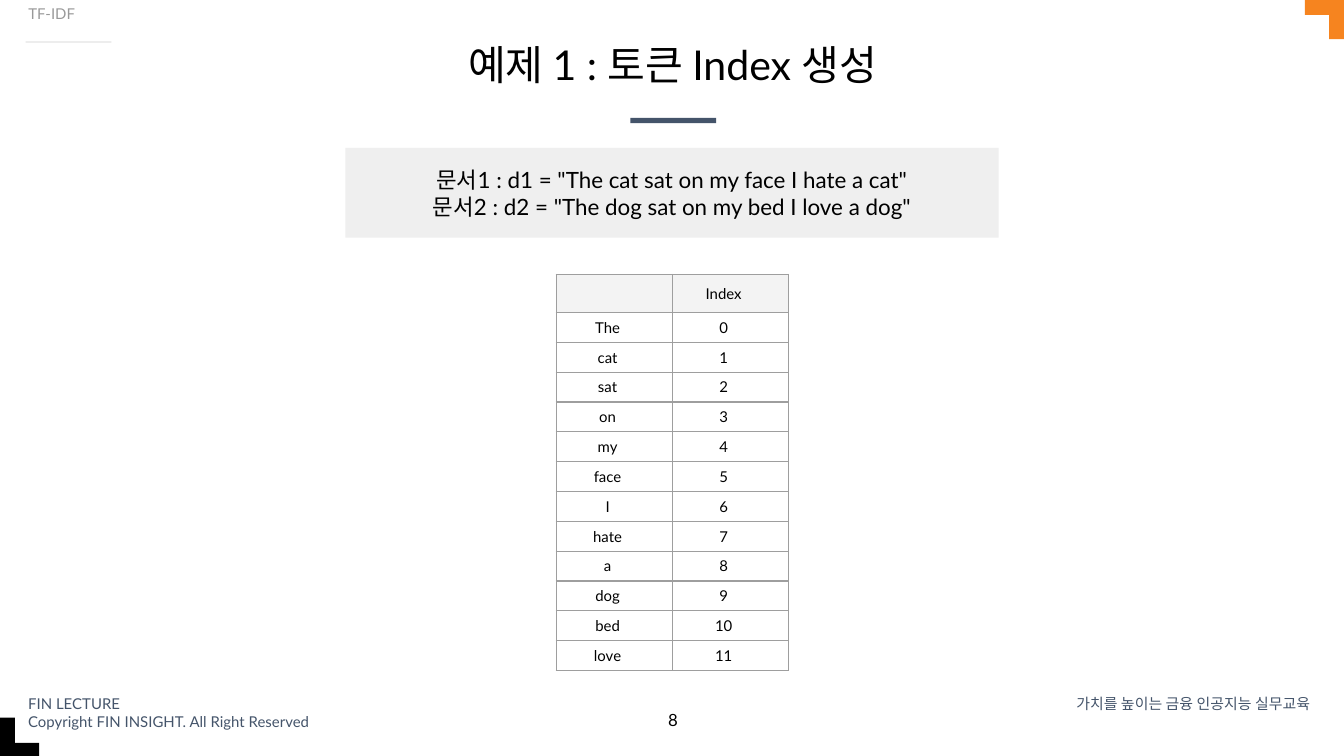
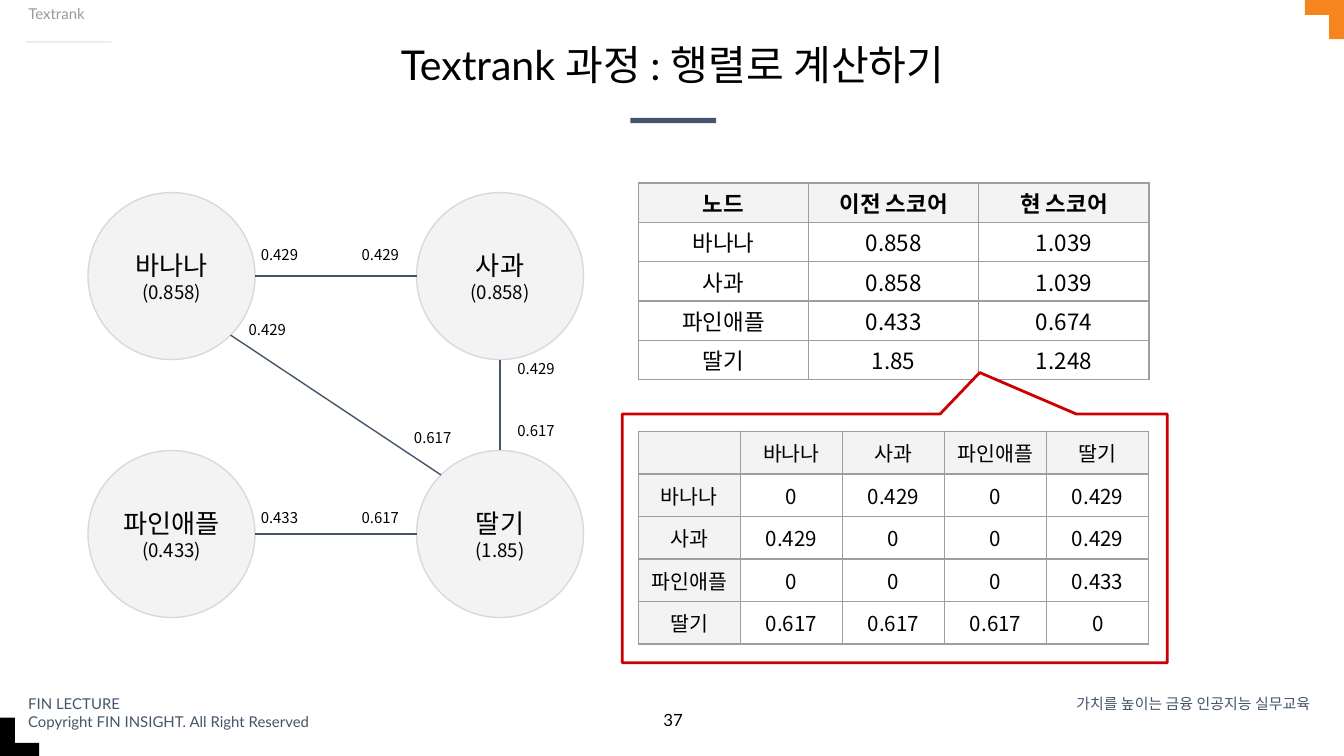
"""Build two lecture slides: token indexing and the TextRank matrix."""
from math import cos, radians, sin

from lxml.etree import SubElement
from pptx import Presentation
from pptx.dml.color import RGBColor
from pptx.enum.shapes import MSO_CONNECTOR, MSO_SHAPE as SHAPE
from pptx.enum.text import MSO_ANCHOR as ANCHOR, PP_ALIGN as ALIGN
from pptx.oxml.ns import qn
from pptx.util import Pt

BLACK = RGBColor(0x00, 0x00, 0x00)
WHITE = RGBColor(0xFF, 0xFF, 0xFF)
NAVY = RGBColor(0x44, 0x54, 0x6A)
ORANGE = RGBColor(0xF6, 0x84, 0x1F)
RED = RGBColor(0xCC, 0x00, 0x00)
PANEL = RGBColor(0xEF, 0xEF, 0xEF)
SHADE = RGBColor(0xF3, 0xF3, 0xF3)
RULE = RGBColor(0xCC, 0xCC, 0xCC)
OUTLINE = RGBColor(0xD9, 0xD9, 0xD9)
TAG = RGBColor(0x99, 0x99, 0x99)
GRID = RGBColor(0x9E, 0x9E, 0x9E)
LATO = "Lato"
NOTO = "Noto Sans CJK KR"
RADIUS = 44.75


def style(p, size, color=BLACK, font=LATO, align=ALIGN.CENTER, bold=False):
    """Format a paragraph and all its runs."""
    p.alignment = align
    for r in p.runs:
        r.font.size = Pt(size)
        r.font.bold = bold
        r.font.name = font
        r.font.color.rgb = color
        SubElement(r.font._element, qn("a:ea")).set("typeface", NOTO)


def set_insets(target, left, top, right, bottom):
    """Set the inner margins of a text frame or cell."""
    target.margin_left, target.margin_top = Pt(left), Pt(top)
    target.margin_right, target.margin_bottom = Pt(right), Pt(bottom)


def write(tf, text, size, insets=(7.2, 7.2, 7.2, 7.2), anchor=ANCHOR.TOP, **look):
    """Fill a text frame with uniformly styled lines."""
    tf.text = text
    tf.word_wrap = True
    tf.vertical_anchor = anchor
    set_insets(tf, *insets)
    for p in tf.paragraphs:
        style(p, size, **look)


def add_text(s, box, text, size, **look):
    """Add a text box."""
    tb = s.shapes.add_textbox(*map(Pt, box))
    write(tb.text_frame, text, size, **look)


def add_block(s, kind, box, fill, line=None, width=0.75, rotation=0):
    """Add a flat preset shape."""
    sp = s.shapes.add_shape(kind, *map(Pt, box))
    sp.shadow.inherit = False
    sp.rotation = rotation
    sp.fill.solid()
    sp.fill.fore_color.rgb = fill
    if line is None:
        sp.line.fill.background()
    else:
        sp.line.color.rgb = line
        sp.line.width = Pt(width)
    return sp


def fill_placeholder(ph, box, text, size, **look):
    """Move a placeholder and give it one tight line of text."""
    ph.left, ph.top, ph.width, ph.height = map(Pt, box)
    write(ph.text_frame, text, size, **look)
    p = ph.text_frame.paragraphs[0]
    p.line_spacing = 0.9
    p.space_before = Pt(0)


def add_corner(s, color, flat, upright, turn):
    """Add two bars that form a corner bracket."""
    for (left, top), rotation in ((flat, 0), (upright, turn)):
        add_block(s, SHAPE.RECTANGLE, (left, top, 21, 8), color, rotation=rotation)


def add_page(prs, topic, title, number):
    """Add a slide with the shared frame, title, topic and page number."""
    s = prs.slides.add_slide(prs.slide_layouts[0])
    add_block(s, SHAPE.RECTANGLE, (337.7, 63.2, 46, 2.8), NAVY)
    add_block(s, SHAPE.RECTANGLE, (13.7, 22.3, 46, 0.5), RULE)
    add_corner(s, BLACK, (0, 398), (-6.5, 391), 90)
    add_corner(s, ORANGE, (699, 0), (705.5, 6.5), 270)
    slim = (7.2, 3.6, 7.2, 3.6)
    add_text(s, (8, 368.6, 214.5, 19.5),
             "FIN LECTURE\nCopyright FIN INSIGHT. All Right Reserved", 8,
             insets=slim, color=NAVY, align=ALIGN.LEFT)
    add_text(s, (558.7, 368.6, 150.5, 12.2), "가치를 높이는 금융 인공지능 실무교육", 8,
             insets=slim, color=NAVY, align=ALIGN.RIGHT)
    fill_placeholder(s.shapes.title, (37.4, 21.6, 645.8, 28.8), title, 22,
                     insets=(2.7, 1.4, 2.7, 1.4), anchor=ANCHOR.MIDDLE)
    fill_placeholder(s.placeholders[1], (8, 0, 246, 28.8), topic, 8,
                     insets=slim, color=TAG, align=ALIGN.LEFT)
    add_text(s, (339, 375, 43.2, 31), str(number), 9)
    return s


def add_borders(cell):
    """Draw thin grey borders on all four sides of a cell."""
    tc_pr = cell._tc.get_or_add_tcPr()
    for side in ("a:lnL", "a:lnR", "a:lnT", "a:lnB"):
        ln = SubElement(tc_pr, qn(side), w=str(Pt(0.75)))
        fill = SubElement(ln, qn("a:solidFill"))
        SubElement(fill, qn("a:srgbClr"), val=str(GRID))


def add_grid(s, origin, col_width, heights, rows, size, font=LATO,
             right_inset=0, bold_head=False, shade_first=False):
    """Add a bordered table with a shaded header row."""
    n_cols = len(rows[0])
    frame = s.shapes.add_table(len(rows), n_cols, *map(Pt, origin),
                               Pt(col_width * n_cols), Pt(sum(heights)))
    table = frame.table
    table.first_row = table.horz_banding = False
    for col in table.columns:
        col.width = Pt(col_width)
    for i, (values, height) in enumerate(zip(rows, heights)):
        table.rows[i].height = Pt(height)
        for j, value in enumerate(values):
            cell = table.cell(i, j)
            cell.text = value
            cell.vertical_anchor = ANCHOR.MIDDLE
            set_insets(cell, 0, 0, right_inset, 0)
            p = cell.text_frame.paragraphs[0]
            style(p, size, font=font, bold=bold_head and i == 0)
            if not value:
                SubElement(p._p, qn("a:endParaRPr"), sz=str(size * 100))
            add_borders(cell)
            cell.fill.solid()
            shaded = i == 0 or (shade_first and j == 0)
            cell.fill.fore_color.rgb = SHADE if shaded else WHITE


def add_node(s, center, name, score):
    """Add a graph node with its name and score."""
    x, y = center
    sp = add_block(s, SHAPE.OVAL, (x - RADIUS, y - RADIUS, 2 * RADIUS, 2 * RADIUS),
                   SHADE, OUTLINE)
    write(sp.text_frame, f"{name}\n({score})", 14, insets=(0, 7.2, 0, 7.2),
          anchor=ANCHOR.MIDDLE, font=NOTO)
    for r in sp.text_frame.paragraphs[1].runs:
        r.font.size = Pt(10)


def add_edge(s, start, end, angle):
    """Join two node rims, leaving the first at the given angle."""
    dx, dy = RADIUS * cos(radians(angle)), RADIUS * sin(radians(angle))
    line = s.shapes.add_connector(
        MSO_CONNECTOR.STRAIGHT, Pt(start[0] + dx), Pt(start[1] + dy),
        Pt(end[0] - dx), Pt(end[1] - dy))
    line.line.color.rgb = NAVY
    line.line.width = Pt(0.75)
    SubElement(line._element.spPr, qn("a:effectLst"))


def build_index_slide(prs):
    """Build the token index slide."""
    s = add_page(prs, "TF-IDF", "예제 1 : 토큰 Index 생성", 8)
    tokens = "The cat sat on my face I hate a dog bed love".split()
    rows = [("", "Index")] + [(t, str(i)) for i, t in enumerate(tokens)]
    add_grid(s, (298, 147), 62.2, [20.4] + [16] * len(tokens), rows, 8,
             right_inset=7.2)
    panel = add_block(s, SHAPE.RECTANGLE, (185, 79.2, 350, 48.2), PANEL)
    write(panel.text_frame,
          '문서1 : d1 = "The cat sat on my face I hate a cat"\n'
          '문서2 : d2 = "The dog sat on my bed I love a dog"',
          12, anchor=ANCHOR.MIDDLE)


def build_graph(s, names, scores):
    """Draw the weighted word graph."""
    centers = [(x, y) for y in (147.9, 286.1) for x in (91.9, 267.9)]
    for center, name, score in zip(centers, names, scores):
        add_node(s, center, name, score)
    banana, apple, pineapple, berry = centers
    for start, end, angle in ((banana, apple, 0), (apple, berry, 90),
                              (banana, berry, 45), (pineapple, berry, 0)):
        add_edge(s, start, end, angle)
    weights = (
        (130.3, 126.7, "0.429"), (184.3, 126.7, "0.429"),
        (123.8, 167, "0.429"), (212.4, 224.6, "0.617"),
        (267.8, 188, "0.429"), (267.8, 221, "0.617"),
        (130.3, 267.8, "0.433"), (184.3, 267.8, "0.617"),
    )
    for left, top, weight in weights:
        add_text(s, (left, top, 38.9, 28.8), weight, 8, font=NOTO)


def build_textrank_slide(prs):
    """Build the TextRank matrix slide."""
    s = add_page(prs, "Textrank", "Textrank 과정 : 행렬로 계산하기", 37)
    names = ("바나나", "사과", "파인애플", "딸기")
    before = ("0.858", "0.858", "0.433", "1.85")
    after = ("1.039", "1.039", "0.674", "1.248")
    matrix = (("0", "0.429", "0", "0.429"), ("0.429", "0", "0", "0.429"),
              ("0", "0", "0", "0.433"), ("0.617", "0.617", "0.617", "0"))
    add_grid(s, (342, 98), 91.2, [21.1] * 5,
             [("노드", "이전 스코어", "현 스코어"), *zip(names, before, after)],
             12, font=NOTO, bold_head=True)
    callout = add_block(s, SHAPE.ROUNDED_RECTANGULAR_CALLOUT,
                        (333.3, 221.8, 292, 133.2), WHITE, RED, 1.5)
    for i, value in enumerate((0.156, -0.667, 0)):
        callout.adjustments[i] = value
    build_graph(s, names, before)
    add_grid(s, (342, 231.1), 54.7, [22.8] * 5,
             [("", *names), *((n, *row) for n, row in zip(names, matrix))],
             11, font=NOTO, shade_first=True)


def main():
    """Build and save the presentation."""
    prs = Presentation()
    prs.slide_width, prs.slide_height = Pt(720), Pt(405)
    build_index_slide(prs)
    build_textrank_slide(prs)
    prs.save("out.pptx")


if __name__ == "__main__":
    main()
